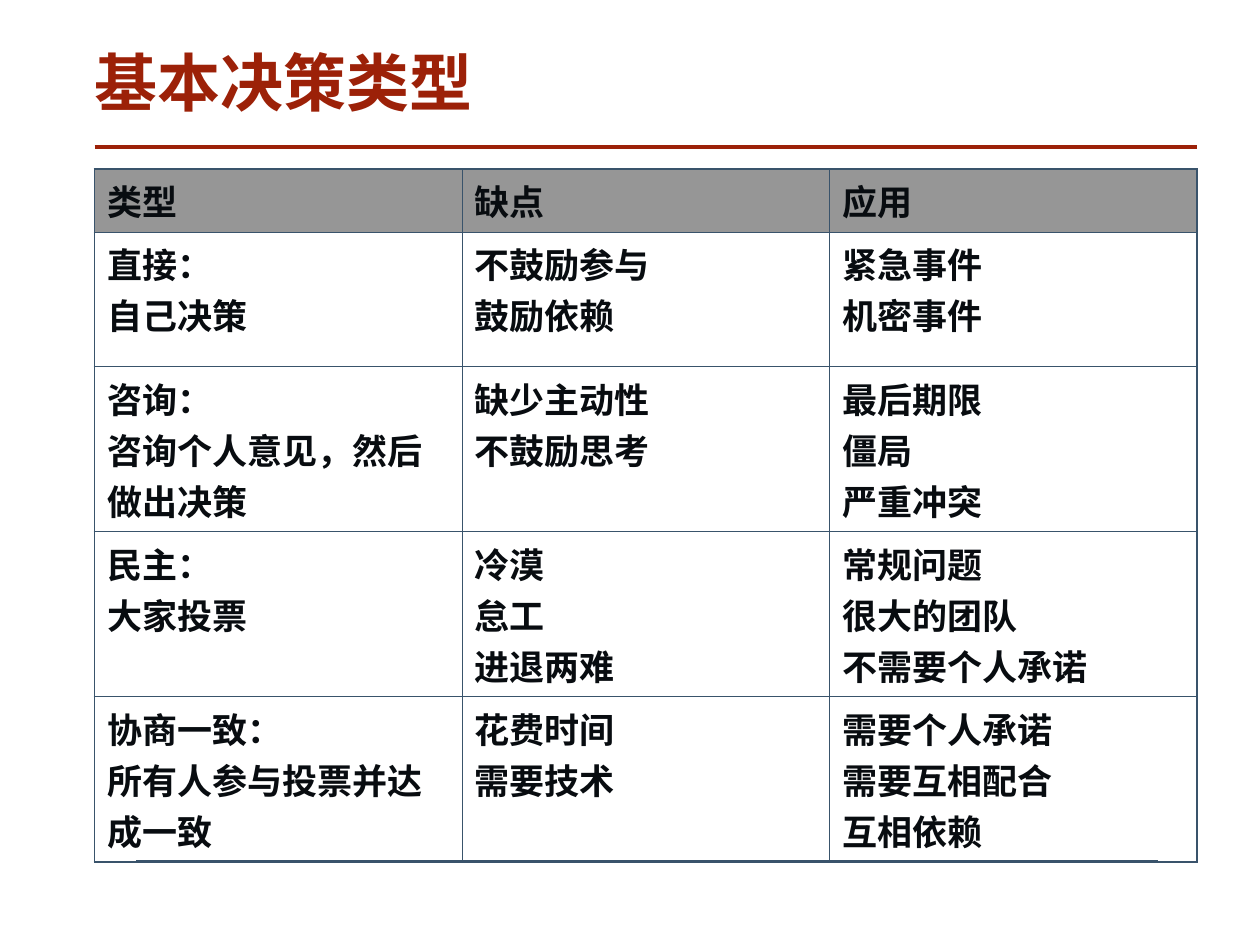
"""Build a slide with a table of basic decision types."""
from dataclasses import dataclass

from lxml.etree import SubElement
from pptx import Presentation
from pptx.dml.color import RGBColor
from pptx.enum.shapes import MSO_CONNECTOR
from pptx.oxml.ns import qn
from pptx.util import Inches, Pt


@dataclass(frozen=True)
class Theme:
    font: str = "Noto Sans CJK SC"
    red: str = "9C2108"
    blue: str = "39536B"
    ink: str = "080C10"
    gray: str = "969696"
    head: int = 36
    body: int = 20
    thick: float = 1.08
    thin: float = 0.45


THEME = Theme()
LEFT, WIDTH = 0.75, 8.75
HEIGHTS = [0.5, 1.07, 1.31, 1.31, 1.31]
ROWS = [
    ["类型", "缺点", "应用"],
    ["直接：\n自己决策", "不鼓励参与\n鼓励依赖", "紧急事件\n机密事件"],
    ["咨询：\n咨询个人意见，然后做出决策", "缺少主动性\n不鼓励思考",
     "最后期限\n僵局\n严重冲突"],
    ["民主：\n大家投票", "冷漠\n怠工\n进退两难",
     "常规问题\n很大的团队\n不需要个人承诺"],
    ["协商一致：\n所有人参与投票并达成一致", "花费时间\n需要技术",
     "需要个人承诺\n需要互相配合\n互相依赖"],
]


def set_text(frame, text, size, color):
    frame.text = text
    for para in frame.paragraphs:
        for run in para.runs:
            font = run.font
            font.name, font.size, font.bold = THEME.font, Pt(size), True
            font.color.rgb = RGBColor.from_string(color)
            east = SubElement(font._element, qn("a:ea"))
            east.set("typeface", THEME.font)


def add_title(slide, text):
    box = slide.shapes.add_textbox(
        Inches(LEFT), Inches(0.42), Inches(WIDTH), Inches(0.61))
    frame = box.text_frame
    frame.word_wrap = True
    frame.margin_left = frame.margin_right = 0
    frame.margin_top = frame.margin_bottom = 0
    set_text(frame, text, THEME.head, THEME.red)
    frame.paragraphs[0].line_spacing = 0.89


def add_rule(slide, start, end, top, color, width):
    rule = slide.shapes.add_connector(
        MSO_CONNECTOR.STRAIGHT,
        Inches(start), Inches(top), Inches(end), Inches(top))
    rule.line.color.rgb = RGBColor.from_string(color)
    rule.line.width = Pt(width)
    SubElement(rule._element.spPr, qn("a:effectLst"))


def set_edges(cell, outer):
    props = cell._tc.get_or_add_tcPr()
    for side in "LRTB":
        width = THEME.thick if side in outer else THEME.thin
        edge = SubElement(props, qn(f"a:ln{side}"), w=str(Pt(width)))
        fill = SubElement(edge, qn("a:solidFill"))
        SubElement(fill, qn("a:srgbClr"), val=THEME.blue)


def add_grid(slide, rows):
    last_row, last_col = len(rows) - 1, len(rows[0]) - 1
    table = slide.shapes.add_table(
        len(rows), len(rows[0]), Inches(LEFT), Inches(1.34),
        Inches(WIDTH), Inches(sum(HEIGHTS))).table
    table.first_row = table.horz_banding = False
    for r, row in enumerate(rows):
        table.rows[r].height = Inches(HEIGHTS[r])
        for c, text in enumerate(row):
            cell = table.cell(r, c)
            set_text(cell.text_frame, text, THEME.body, THEME.ink)
            ends = {"L": c == 0, "R": c == last_col,
                    "T": r == 0, "B": r == last_row}
            set_edges(cell, [side for side, end in ends.items() if end])
            if r == 0:
                cell.fill.solid()
                cell.fill.fore_color.rgb = RGBColor.from_string(THEME.gray)
            else:
                cell.fill.background()


def main():
    deck = Presentation()
    deck.slide_width, deck.slide_height = Inches(10), Inches(7.5)
    slide = deck.slides.add_slide(deck.slide_layouts[6])
    add_rule(slide, 1.08, 9.19, 6.83, THEME.blue, 1)
    add_rule(slide, LEFT, LEFT + WIDTH, 1.17, THEME.red, 2.25)
    add_title(slide, "基本决策类型")
    add_grid(slide, ROWS)
    deck.save("out.pptx")


if __name__ == "__main__":
    main()
